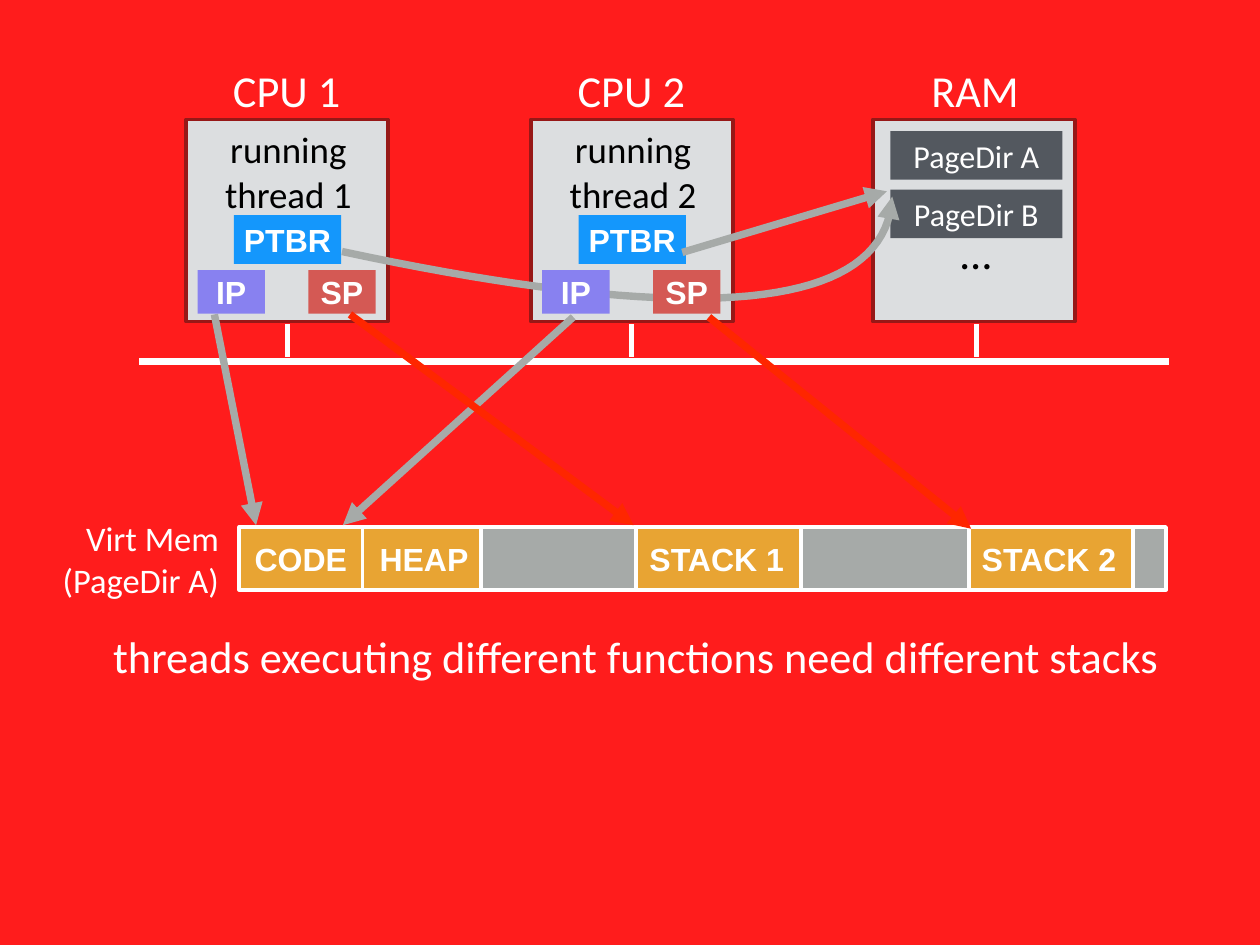
"""Draw two threads on two CPUs that share one address space."""
from lxml import etree
from pptx import Presentation
from pptx.dml.color import RGBColor
from pptx.enum.shapes import MSO_CONNECTOR, MSO_SHAPE
from pptx.enum.text import MSO_ANCHOR, MSO_AUTO_SIZE, PP_ALIGN
from pptx.oxml.ns import qn
from pptx.util import Inches, Pt

RECT = MSO_SHAPE.RECTANGLE
STRAIGHT = MSO_CONNECTOR.STRAIGHT
MIDDLE = MSO_ANCHOR.MIDDLE
GROW = MSO_AUTO_SIZE.SHAPE_TO_FIT_TEXT
CENTER, RIGHT = PP_ALIGN.CENTER, PP_ALIGN.RIGHT

WHITE, BLACK, RED = "FFFFFF", "000000", "FF2600"
GRAY, GOLD, SLATE = "A6AAA8", "E8A433", "53585F"
PANEL, MAROON = "DCDEE0", "971817"
BLUE, VIOLET, ROSE = "1497FC", "8881F0", "D45954"
CPUS = [2.1, 5.99]
RAM = 9.85


def color(code):
    """Turn a hex string into a colour."""
    return RGBColor.from_string(code)


def write(frame, text, size, font, ink, inset, align=CENTER, bold=False):
    """Fill a text frame, one paragraph per line of text."""
    frame.vertical_anchor = MIDDLE
    frame.margin_left = frame.margin_right = Inches(inset)
    frame.margin_top = frame.margin_bottom = Inches(inset)
    frame.text = text
    for para in frame.paragraphs:
        para.alignment = align
        para.font.size = Pt(size)
        para.font.name = font
        para.font.bold = bold
        para.font.color.rgb = color(ink)


def add_box(slide, x, y, wide, high, fill, edge=None, text="", font="Arial"):
    """Add a filled rectangle with an optional edge and text."""
    box = slide.shapes.add_shape(RECT, Inches(x), Inches(y), Inches(wide), Inches(high))
    box.shadow.inherit = False
    box.fill.solid()
    box.fill.fore_color.rgb = color(fill)
    if edge:
        box.line.color.rgb = color(edge)
        box.line.width = Pt(3)
    else:
        box.line.fill.background()
    if text:
        write(box.text_frame, text, 26, font, WHITE, 0, bold=font == "Arial")


def add_label(slide, x, y, wide, high, text, size=36, ink=WHITE, align=CENTER):
    """Add free text that does not wrap."""
    label = slide.shapes.add_textbox(Inches(x), Inches(y), Inches(wide), Inches(high))
    frame = label.text_frame
    frame.word_wrap = False
    frame.auto_size = GROW
    write(frame, text, size, "Calibri", ink, 0.06, align)


def style(stroke, ink, width, arrow):
    """Set colour, width and arrowhead of a line."""
    stroke.line.color.rgb = color(ink)
    stroke.line.width = Pt(width)
    if arrow:
        tail = etree.SubElement(stroke.line._get_or_add_ln(), qn("a:tailEnd"))
        tail.set("type", "triangle")


def add_line(slide, start, end, ink, width=6, arrow=True):
    """Add a straight line or arrow."""
    ends = [Inches(value) for value in (*start, *end)]
    line = slide.shapes.add_connector(STRAIGHT, *ends)
    style(line, ink, width, arrow)
    etree.SubElement(line.element.spPr, qn("a:effectLst"))


def add_curve(slide, knots, ink, steps=40):
    """Add a curved arrow along a cubic Bezier."""
    points = []
    for step in range(steps + 1):
        t = step / steps
        parts = ((1 - t) ** 3, 3 * t * (1 - t) ** 2, 3 * t * t * (1 - t), t ** 3)
        points.append([Inches(sum(p * k for p, k in zip(parts, axis)))
                       for axis in zip(*knots)])
    pen = slide.shapes.build_freeform(*points[0], scale=1.0)
    pen.add_line_segments(points[1:], close=False)
    curve = pen.convert_to_shape()
    curve.shadow.inherit = False
    curve.fill.background()
    style(curve, ink, 6, True)


def add_cpus(slide):
    """Add both CPUs with their thread and page table register."""
    for number, x in enumerate(CPUS, 1):
        add_box(slide, x, 1.35, 2.28, 2.28, PANEL, MAROON)
        add_label(slide, x + 0.35, 0.66, 1.57, 0.71, f"CPU {number}")
        add_label(slide, x + 0.32, 1.38, 1.67, 1.11,
                  f"running\nthread {number}", 30, BLACK)
        add_box(slide, x + 0.54, 2.43, 1.21, 0.55, BLUE, text="PTBR")


def add_ram(slide):
    """Add the RAM with its page directories."""
    add_box(slide, RAM, 1.35, 2.28, 2.28, PANEL, MAROON)
    add_label(slide, RAM + 0.55, 0.66, 1.21, 0.71, "RAM")
    for row, name in enumerate("AB"):
        add_box(slide, RAM + 0.2, 1.48 + row * 0.66, 1.94, 0.55, SLATE,
                text=f"PageDir {name}", font="Calibri")
    add_label(slide, RAM + 0.85, 2.49, 0.63, 0.71, "…", ink=BLACK)


def add_bus(slide):
    """Add the bus and its three stubs."""
    add_line(slide, (1.57, 4.08), (13.19, 4.08), WHITE, arrow=False)
    for index in range(3):
        x = 3.24 + index * 3.89
        add_line(slide, (x, 4.03), (x, 3.66), WHITE, 4, False)


def add_memory(slide):
    """Add the strip of virtual memory."""
    add_label(slide, 0.37, 5.78, 2.16, 1.06, "Virt Mem\n(PageDir A)", 28, align=RIGHT)
    cells = [
        (2.7, 1.39, GOLD, "CODE"), (4.09, 1.39, GOLD, "HEAP"),
        (12.79, 0.37, GRAY, ""), (7.14, 1.9, GOLD, "STACK 1"),
        (10.89, 1.9, GOLD, "STACK 2"), (9.04, 1.9, GRAY, ""),
        (5.43, 1.75, GRAY, ""),
    ]
    # The gaps lie over the stacks, so STACK 2 is kept readable by its offset.
    for x, wide, fill, name in cells:
        add_box(slide, x, 5.95, wide, 0.71, fill, WHITE, name)


def main():
    """Build the slide and save it."""
    deck = Presentation()
    deck.slide_width, deck.slide_height = Inches(14.22), Inches(10.67)
    slide = deck.slides.add_slide(deck.slide_layouts[6])
    slide.background.fill.solid()
    slide.background.fill.fore_color.rgb = color("FF1C1C")

    add_cpus(slide)
    add_ram(slide)
    add_bus(slide)
    add_curve(slide, [(3.86, 2.84), (7.93, 3.71), (10, 3.51), (10.07, 2.22)], GRAY)
    add_line(slide, (7.7, 2.85), (10.01, 2.16), GRAY)
    add_memory(slide)
    add_line(slide, (2.42, 3.55), (2.89, 5.93), GRAY)
    add_line(slide, (6.47, 3.58), (3.87, 5.93), GRAY)
    for x in CPUS:
        add_box(slide, x + 0.13, 3.05, 0.76, 0.49, VIOLET, text="IP")
        add_box(slide, x + 1.38, 3.05, 0.76, 0.49, ROSE, text="SP")
    add_line(slide, (3.95, 3.55), (7.15, 5.93), RED)
    add_line(slide, (8, 3.58), (10.96, 5.97), RED)
    add_label(slide, 0.63, 7.05, 13.09, 0.71,
              "threads executing different functions need different stacks")
    deck.save("out.pptx")


if __name__ == "__main__":
    main()
